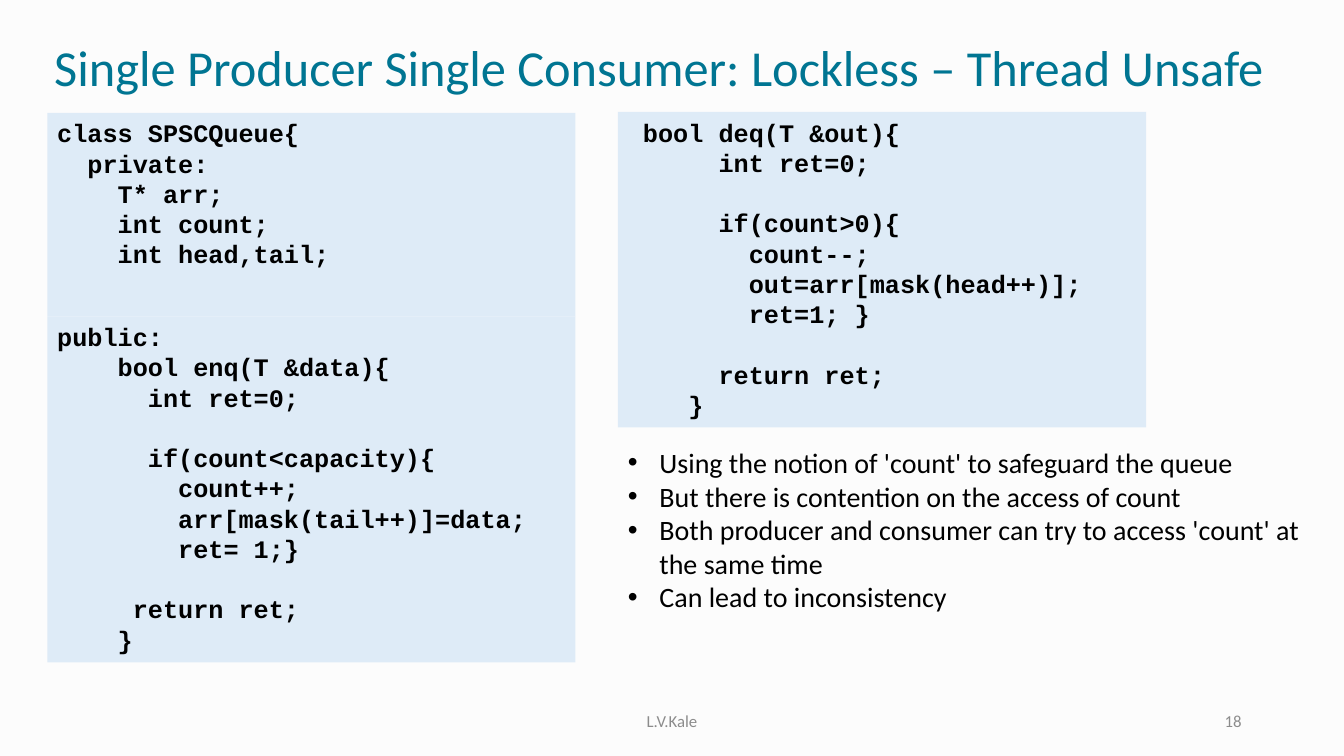
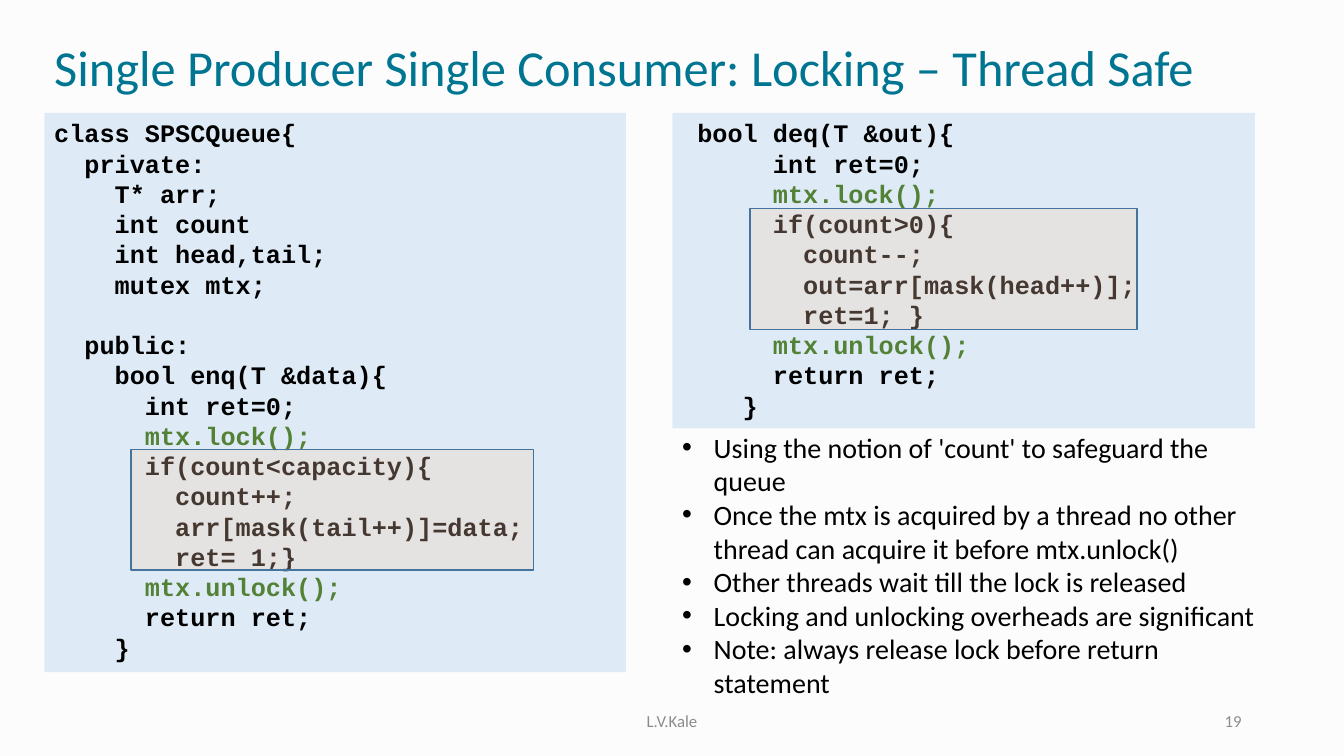
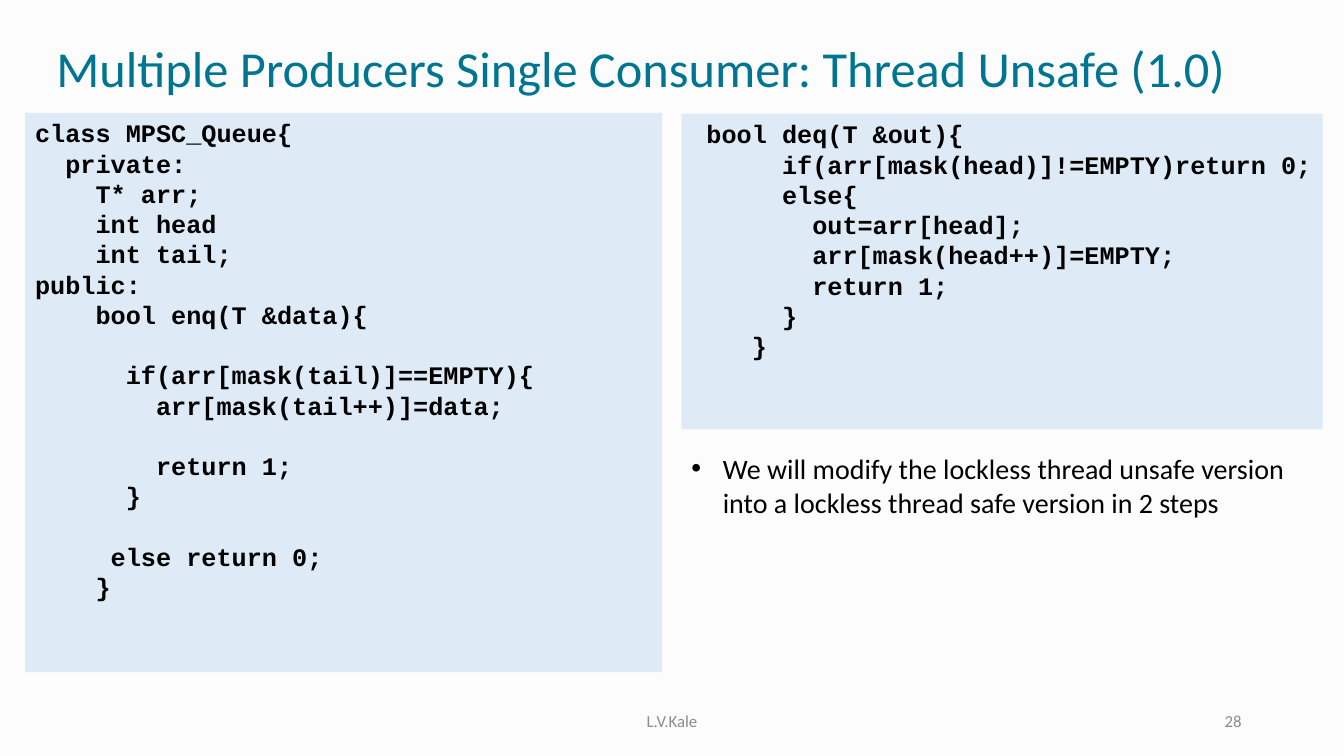
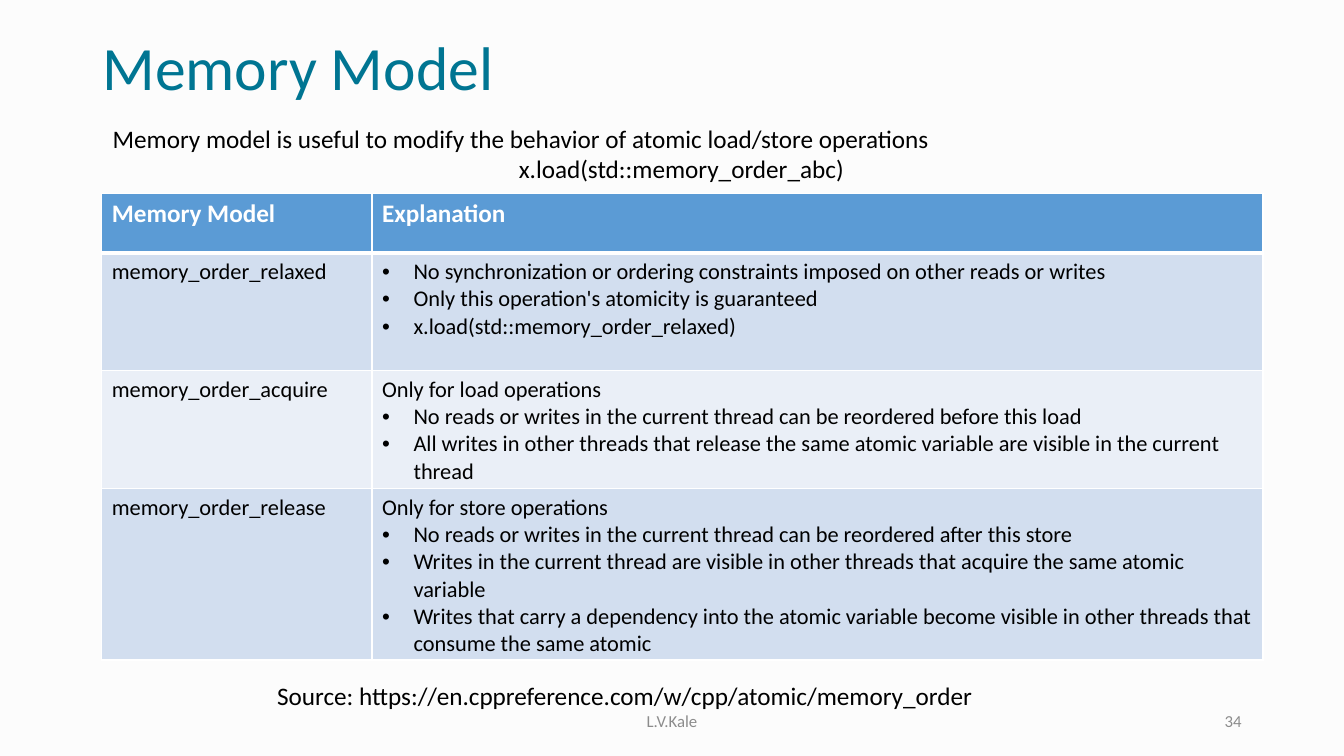
from dataclasses import dataclass

from lxml import etree
from pptx import Presentation
from pptx import util as u
from pptx.dml.color import RGBColor
from pptx.enum import shapes, text
from pptx.oxml.ns import qn

TEAL = RGBColor(0x00, 0x75, 0x92)
BLACK = RGBColor(0x00, 0x00, 0x00)
WHITE = RGBColor(0xFF, 0xFF, 0xFF)
GRAY = RGBColor(0x8C, 0x8C, 0x8C)
GREEN = RGBColor(0x53, 0x81, 0x35)
PAPER = RGBColor(0xFC, 0xFC, 0xFC)
CODE_FILL = RGBColor(0xDE, 0xEB, 0xF7)
PEACH = RGBColor(0xF8, 0xCB, 0xAD)
EDGE = RGBColor(0x43, 0x73, 0x9E)
HEADER_FILL = RGBColor(0x5B, 0x9B, 0xD5)
BAND_FILLS = (RGBColor(0xD2, 0xDE, 0xEF), RGBColor(0xEA, 0xEF, 0xF7))
BODY_FONT, CODE_FONT = "Calibri", "Courier New"
CODE_PITCH = 21.6
BULLET_INDENT = 22.5
LEFT, CENTER, RIGHT = text.PP_ALIGN.LEFT, text.PP_ALIGN.CENTER, text.PP_ALIGN.RIGHT


@dataclass(frozen=True)
class Box:
    x: float
    y: float
    w: float
    h: float

    def emu(self) -> tuple[u.Length, ...]:
        return u.Pt(self.x), u.Pt(self.y), u.Pt(self.w), u.Pt(self.h)


@dataclass(frozen=True)
class Line:
    content: str
    bullet: bool = False
    align: text.PP_ALIGN = LEFT


@dataclass(frozen=True)
class Code:
    box: Box
    listing: str


@dataclass(frozen=True)
class CodeSlide:
    number: int
    title: str
    title_box: Box
    codes: tuple[Code, ...]
    bullets_box: Box
    bullets: tuple[str, ...]
    highlights: tuple[Box, ...] = ()


@dataclass(frozen=True)
class Row:
    height: float
    name: str
    lines: tuple[Line, ...]


TITLE_BOX = Box(31.7, 20.2, 911.5, 60.5)

CODE_SLIDES = (
    CodeSlide(
        18, "Single Producer Single Consumer: Lockless – Thread Unsafe", TITLE_BOX,
        (
            Code(Box(33.8, 80.6, 377.3, 145.5), """\
class SPSCQueue{
  private:
    T* arr;
    int count;
    int head,tail;"""),
            Code(Box(33.8, 226.1, 377.3, 247), """\
public:
    bool enq(T &data){
      int ret=0;

      if(count<capacity){
        count++;
        arr[mask(tail++)]=data;
        ret= 1;}

     return ret;
    }"""),
            Code(Box(441.4, 80, 377.3, 225.4), """\
 bool deq(T &out){
      int ret=0;

      if(count>0){
        count--;
        out=arr[mask(head++)];
        ret=1; }

      return ret;
    }"""),
        ),
        Box(441.4, 314.6, 502.6, 128.2),
        (
            "Using the notion of 'count' to safeguard the queue",
            "But there is contention on the access of count",
            "Both producer and consumer can try to access 'count' at the same time",
            "Can lead to inconsistency",
        ),
    ),
    CodeSlide(
        19, "Single Producer Single Consumer: Locking – Thread Safe", TITLE_BOX,
        (
            Code(Box(31.7, 80.6, 415.4, 399.6), """\
class SPSCQueue{
  private:
    T* arr;
    int count
    int head,tail;
    mutex mtx;

  public:
    bool enq(T &data){
      int ret=0;
      mtx.lock();
      if(count<capacity){
        count++;
        arr[mask(tail++)]=data;
        ret= 1;}
      mtx.unlock();
      return ret;
    }"""),
            Code(Box(480.2, 80.6, 416.2, 225.4), """\
 bool deq(T &out){
      int ret=0;
      mtx.lock();
      if(count>0){
        count--;
        out=arr[mask(head++)];
        ret=1; }
      mtx.unlock();
      return ret;
    }"""),
        ),
        Box(480.2, 303.8, 436, 200.9),
        (
            "Using the notion of 'count' to safeguard the queue",
            "Once the mtx is acquired by a thread no other thread can acquire it before mtx.unlock()",
            "Other threads wait till the lock is released",
            "Locking and unlocking overheads are significant",
            "Note: always release lock before return statement",
        ),
        (Box(535.7, 149, 276.5, 86.4), Box(93.6, 321.1, 287.3, 86)),
    ),
    CodeSlide(
        28, "Multiple Producers Single Consumer: Thread Unsafe (1.0)",
        Box(33.1, 20.2, 898.6, 61.2),
        (
            Code(Box(18, 80.6, 455, 399.6), """\
class MPSC_Queue{
  private:
    T* arr;
    int head
    int tail;
public:
    bool enq(T &data){

      if(arr[mask(tail)]==EMPTY){
        arr[mask(tail++)]=data;

        return 1;
      }

     else return 0;
    }"""),
            Code(Box(486.7, 81.2, 458, 225.4), """\
 bool deq(T &out){
      if(arr[mask(head)]!=EMPTY)return 0;
      else{
        out=arr[head];
        arr[mask(head++)]=EMPTY;
        return 1;
      }
    }"""),
        ),
        Box(486.7, 319, 458, 55.4),
        ("We will modify the lockless thread unsafe version into a lockless thread safe version in 2 steps",),
    ),
)

TABLE_BOX = Box(72.7, 138.2, 829.5, 332.6)
TABLE_COLUMNS = (193, 636.5)
MODEL_ROWS = (
    Row(42.5, "Memory Model", (Line("Explanation"),)),
    Row(84.2, "memory_order_relaxed", (
        Line("No synchronization or ordering constraints imposed on other reads or writes", True),
        Line("Only this operation's atomicity is guaranteed", True),
        Line("x.load(std::memory_order_relaxed)", True),
    )),
    Row(84.2, "memory_order_acquire", (
        Line("Only for load operations"),
        Line("No reads or writes in the current thread can be reordered before this load", True),
        Line("All writes in other threads that release the same atomic variable are visible "
             "in the current thread", True),
    )),
    Row(121.7, "memory_order_release", (
        Line("Only for store operations"),
        Line("No reads or writes in the current thread can be reordered after this store", True),
        Line("Writes in the current thread are visible in other threads that acquire the same "
             "atomic variable", True),
        Line("Writes that carry a dependency into the atomic variable become visible in other "
             "threads that consume the same atomic", True),
    )),
)


def add_run(p, content: str, size: float, color: RGBColor,
            font: str = BODY_FONT, bold: bool = False) -> None:
    r = p.add_run()
    r.text = content
    r.font.name, r.font.size, r.font.bold = font, u.Pt(size), bold
    r.font.color.rgb = color


def add_bullet(p) -> None:
    ppr = p._p.get_or_add_pPr()
    ppr.set("marL", str(u.Pt(BULLET_INDENT)))
    ppr.set("indent", str(-u.Pt(BULLET_INDENT)))
    etree.SubElement(ppr, qn("a:buFont")).set("typeface", "Arial")
    etree.SubElement(ppr, qn("a:buChar")).set("char", "•")


def fill_lines(tf, lines: tuple[Line, ...], size: float, color: RGBColor = BLACK,
               bold: bool = False) -> None:
    for i, line in enumerate(lines):
        p = tf.add_paragraph() if i else tf.paragraphs[0]
        p.alignment = line.align
        if line.bullet:
            add_bullet(p)
        add_run(p, line.content, size, color, bold=bold)


def add_text(s, box: Box, lines: tuple[Line, ...], size: float, color: RGBColor = BLACK,
             anchor: text.MSO_ANCHOR = text.MSO_ANCHOR.TOP):
    tf = s.shapes.add_textbox(*box.emu()).text_frame
    tf.word_wrap = True
    tf.vertical_anchor = anchor
    fill_lines(tf, lines, size, color)
    return tf


def add_rect(s, box: Box, fill: RGBColor):
    sp = s.shapes.add_shape(shapes.MSO_SHAPE.RECTANGLE, *box.emu())
    sp.shadow.inherit = False
    sp.fill.solid()
    sp.fill.fore_color.rgb = fill
    sp.line.fill.background()
    return sp


def add_code(s, code: Code) -> None:
    tf = add_rect(s, code.box, CODE_FILL).text_frame
    tf.word_wrap = True
    tf.margin_right = u.Pt(0)
    tf.vertical_anchor = text.MSO_ANCHOR.TOP
    p, gap = tf.paragraphs[0], 0
    for i, line in enumerate(code.listing.split("\n")):
        if not line:
            gap += CODE_PITCH
            continue
        if i:
            p = tf.add_paragraph()
            p.space_before = u.Pt(gap)
        gap = 0
        p.alignment = LEFT
        p.line_spacing = u.Pt(CODE_PITCH)
        add_run(p, line, 18, GREEN if "mtx." in line else BLACK, CODE_FONT, True)


def add_highlight(s, box: Box) -> None:
    sp = add_rect(s, box, PEACH)
    sp.line.color.rgb = EDGE
    sp.line.width = u.Pt(1)
    color = sp._element.spPr.find(qn("a:solidFill")).find(qn("a:srgbClr"))
    etree.SubElement(color, qn("a:alpha")).set("val", "28000")


def add_borders(cell, bottom: float) -> None:
    tcpr = cell._tc.get_or_add_tcPr()
    for i, (side, width) in enumerate((("L", 1), ("R", 1), ("T", 1), ("B", bottom))):
        ln = etree.Element(qn(f"a:ln{side}"), w=str(u.Pt(width)))
        fill = etree.SubElement(ln, qn("a:solidFill"))
        etree.SubElement(fill, qn("a:srgbClr")).set("val", str(WHITE))
        tcpr.insert(i, ln)


def add_model_table(s) -> None:
    table = s.shapes.add_table(len(MODEL_ROWS), len(TABLE_COLUMNS), *TABLE_BOX.emu()).table
    for column, width in zip(table.columns, TABLE_COLUMNS):
        column.width = u.Pt(width)
    for i, row in enumerate(MODEL_ROWS):
        header = i == 0
        table.rows[i].height = u.Pt(row.height)
        for j, lines in enumerate(((Line(row.name),), row.lines)):
            cell = table.cell(i, j)
            cell.fill.solid()
            cell.fill.fore_color.rgb = HEADER_FILL if header else BAND_FILLS[(i - 1) % 2]
            add_borders(cell, 3 if header else 1)
            fill_lines(cell.text_frame, lines, 18 if header else 16,
                       WHITE if header else BLACK, header)


def add_base(prs, title: str, box: Box, number: int, size: float = 36):
    s = prs.slides.add_slide(prs.slide_layouts[6])
    middle = text.MSO_ANCHOR.MIDDLE
    tf = add_text(s, box, (Line(title),), size, TEAL, middle)
    tf.paragraphs[0].line_spacing = 0.9
    add_text(s, Box(318, 500.4, 324, 28.8), (Line("L.V.Kale", align=CENTER),), 12, GRAY, middle)
    add_text(s, Box(678, 500.4, 216, 28.8), (Line(str(number), align=RIGHT),), 12, GRAY, middle)
    return s


def add_code_slide(prs, page: CodeSlide) -> None:
    s = add_base(prs, page.title, page.title_box, page.number)
    for code in page.codes:
        add_code(s, code)
    add_text(s, page.bullets_box, tuple(Line(bullet, True) for bullet in page.bullets), 20)
    for box in page.highlights:
        add_highlight(s, box)


def add_model_slide(prs) -> None:
    s = add_base(prs, "Memory Model", Box(66.2, 20.2, 828, 60.5), 34, 44)
    add_text(s, Box(190.8, 482.4, 677.5, 28.8),
             (Line("Source: https://en.cppreference.com/w/cpp/atomic/memory_order"),), 18)
    add_model_table(s)
    add_text(s, Box(73.4, 84.2, 826.6, 51.1), (
        Line("Memory model is useful to modify the behavior of atomic load/store operations"),
        Line("x.load(std::memory_order_abc)", align=CENTER),
    ), 18)


def main() -> None:
    prs = Presentation()
    prs.slide_width, prs.slide_height = u.Pt(960), u.Pt(540)
    background = prs.slide_master.background.fill
    background.solid()
    background.fore_color.rgb = PAPER
    for page in CODE_SLIDES:
        add_code_slide(prs, page)
    add_model_slide(prs)
    prs.save("out.pptx")


if __name__ == "__main__":
    main()
